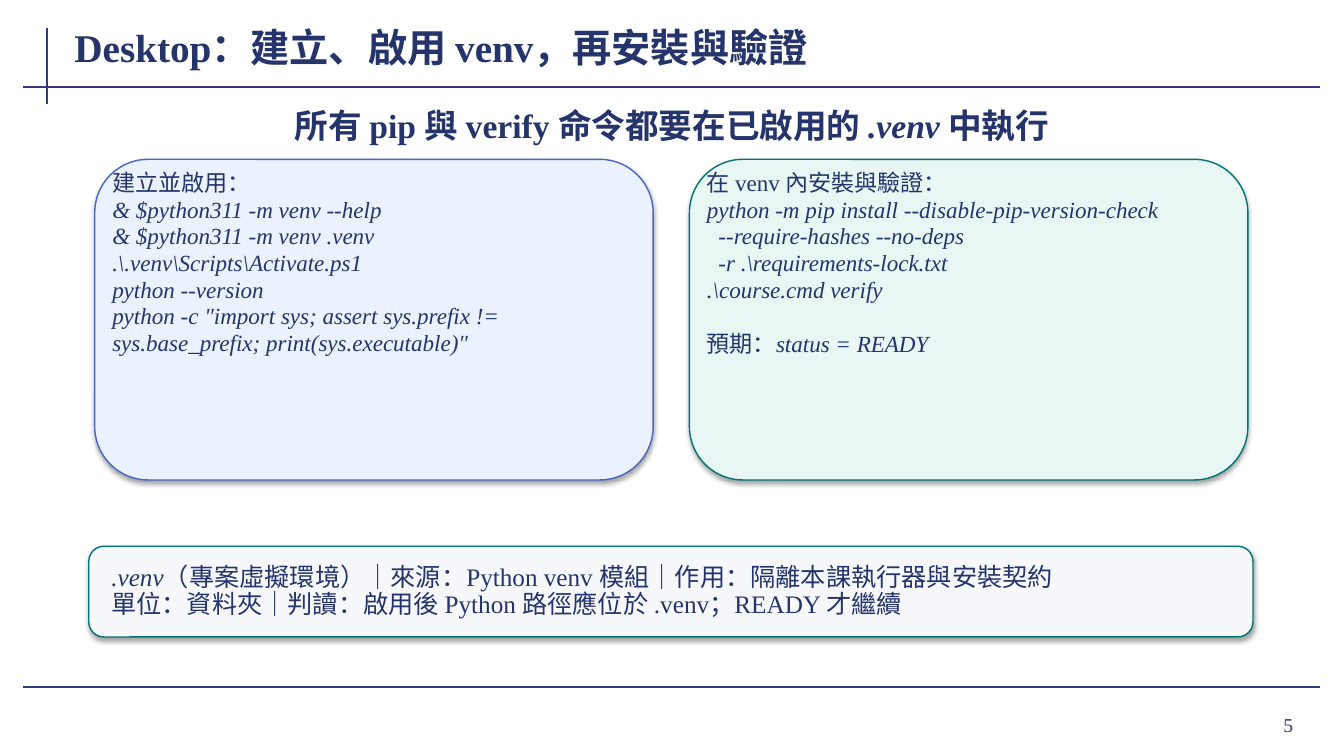
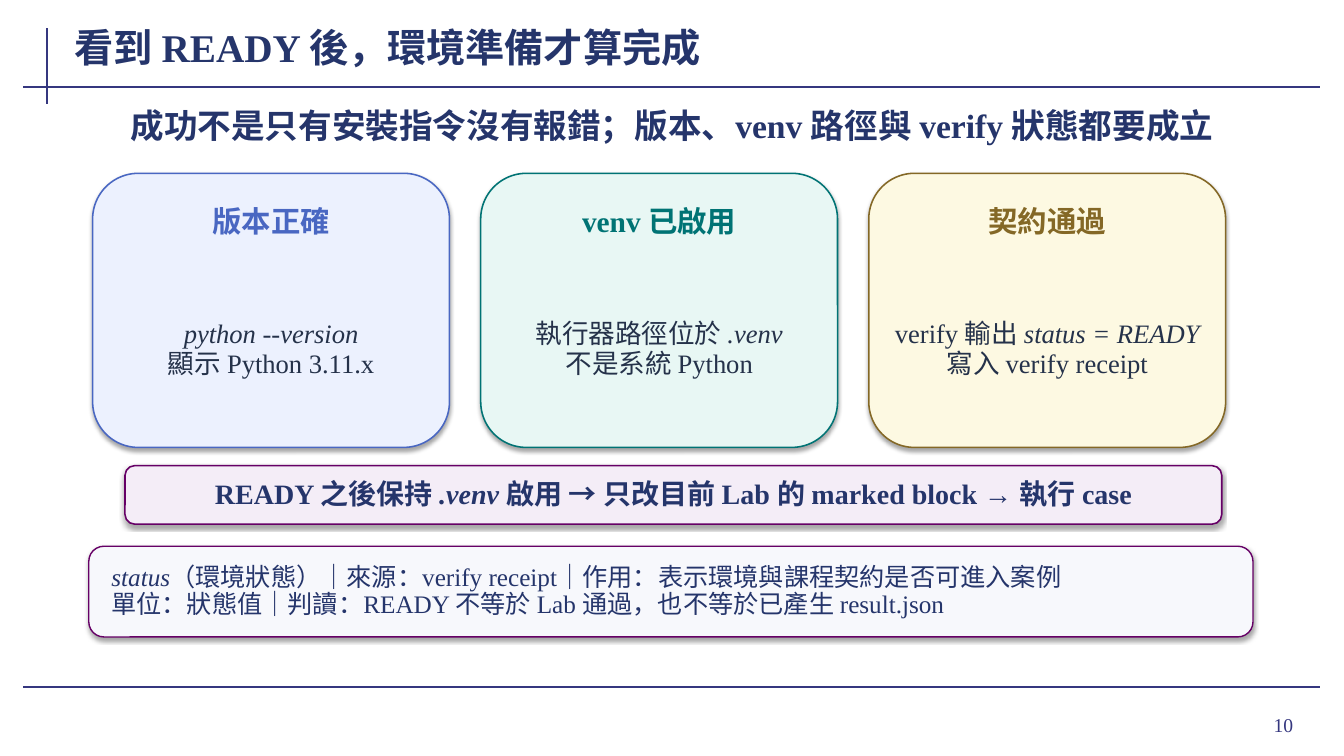
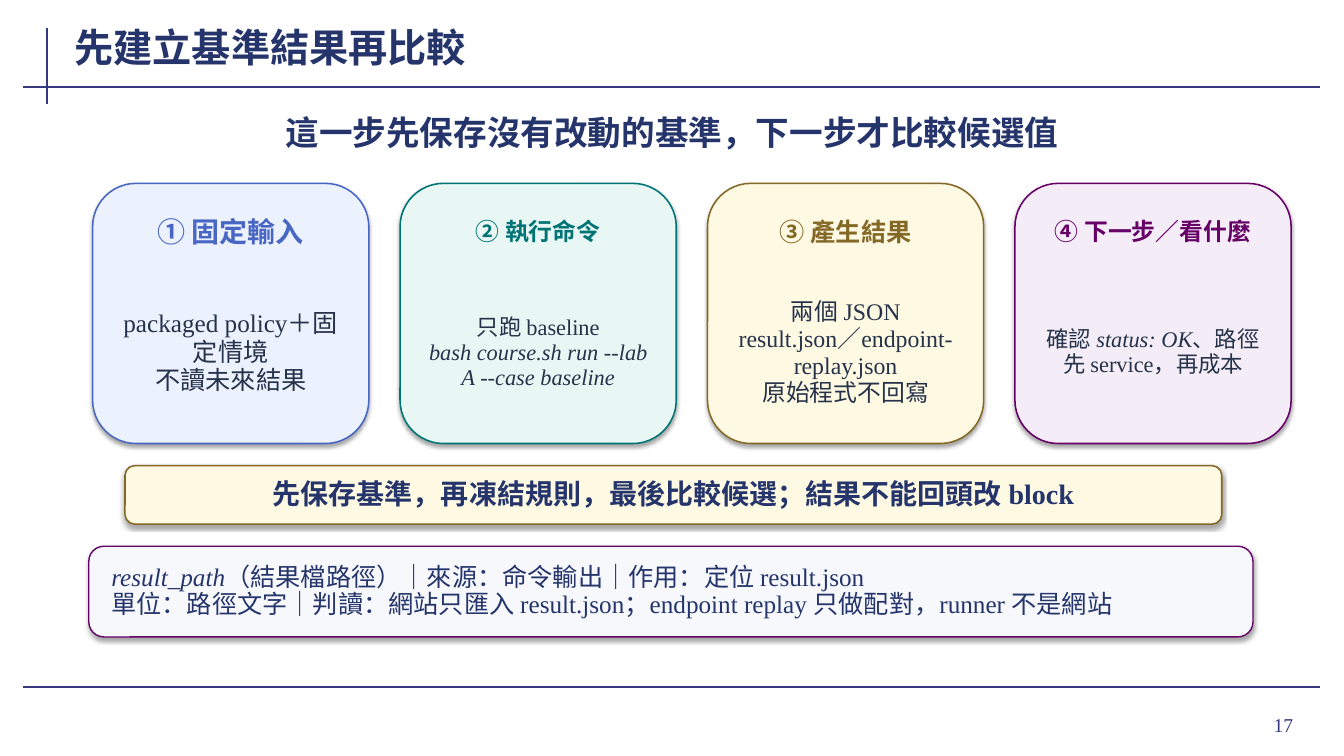
import pptx
import pptx.util
import pptx.dml.color
import pptx.enum.shapes
import pptx.enum.text
import pptx.oxml
import pptx.oxml.ns

Pt = pptx.util.Pt
ALIGN = pptx.enum.text.PP_ALIGN
ANCHOR = pptx.enum.text.MSO_ANCHOR

FONT = "Times New Roman"
COLORS = {
    "rule": "35377F", "navy": "25356B", "body": "25324A", "term": "F7F8FC",
    "blue": "4967C2", "blue_fill": "ECF1FE",
    "teal": "007374", "teal_fill": "E8F7F4",
    "gold": "846826", "gold_fill": "FDF9E2",
    "purple": "660066", "purple_fill": "F4EDF7",
}

RULES = [(33.8, 20.2, 33.8, 74.2), (16.6, 61.9, 943.2, 61.9), (16.6, 491, 943.2, 491)]
TITLE_BOX = (51.8, 14.4, 745.2, 38.2)
NUMBER_BOX = (861.1, 499, 69.8, 37.4)
BAR_BOX = (89.3, 332.6, 783.4, 41.8)
TERM_BOX = (63.4, 390.2, 831.6, 64.8)
CARD_LEFT, CARD_GAP = 66.2, 22.3
PANEL_LEFT, PANEL_TOP, PANEL_W, PANEL_H, PANEL_GAP = 67.7, 113.8, 398.9, 229, 25.9

SLIDES = [
    {
        "number": "5",
        "title": "Desktop：建立、啟用 venv，再安裝與驗證",
        "subtitle": "所有 pip 與 verify 命令都要在已啟用的 `.venv` 中執行",
        "subtitle_top": 70.6,
        "panels": [
            ("blue", [
                "建立並啟用：",
                "`& $python311 -m venv --help`",
                "`& $python311 -m venv .venv`",
                r"`.\.venv\Scripts\Activate.ps1`",
                "`python --version`",
                '`python -c "import sys; assert sys.prefix != sys.base_prefix; print(sys.executable)"`',
            ], 0),
            ("teal", [
                "在 venv 內安裝與驗證：",
                "`python -m pip install --disable-pip-version-check`",
                "`  --require-hashes --no-deps`",
                r"`  -r .\requirements-lock.txt`",
                r"`.\course.cmd verify`",
                "預期：`status = READY`",
            ], 20),
        ],
        "term": ("teal", [
            "`.venv`（專案虛擬環境）｜來源：Python venv 模組｜作用：隔離本課執行器與安裝契約",
            "單位：資料夾｜判讀：啟用後 Python 路徑應位於 .venv；READY 才繼續",
        ]),
    },
    {
        "number": "10",
        "title": "看到 READY 後，環境準備才算完成",
        "subtitle": "成功不是只有安裝指令沒有報錯；版本、venv 路徑與 verify 狀態都要成立",
        "subtitle_top": 70.6,
        "card_size": (123.8, 254.9, 195.8),
        "cards": [
            ("blue", "版本正確", 21, ["`python --version`", "顯示 Python 3.11.x"], 19),
            ("teal", "venv 已啟用", 21, ["執行器路徑位於 `.venv`", "不是系統 Python"], 19),
            ("gold", "契約通過", 21, ["verify 輸出 `status = READY`", "寫入 verify receipt"], 19),
        ],
        "bar": ("purple", "READY 之後保持 `.venv` 啟用 → 只改目前 Lab 的 marked block → 執行 case"),
        "term": ("purple", [
            "`status`（環境狀態）｜來源：verify receipt｜作用：表示環境與課程契約是否可進入案例",
            "單位：狀態值｜判讀：READY 不等於 Lab 通過，也不等於已產生 result.json",
        ]),
    },
    {
        "number": "17",
        "title": "先建立基準結果再比較",
        "subtitle": "這一步先保存沒有改動的基準，下一步才比較候選值",
        "subtitle_top": 75.6,
        "card_size": (131, 197.3, 185.8),
        "cards": [
            ("blue", "① 固定輸入", 20, ["packaged policy＋固定情境", "不讀未來結果"], 18),
            ("teal", "② 執行命令", 17,
             ["只跑 baseline", "`bash course.sh run --lab A --case baseline`"], 16),
            ("gold", "③ 產生結果", 18,
             ["兩個 JSON", "result.json／endpoint-replay.json", "原始程式不回寫"], 17),
            ("purple", "④ 下一步／看什麼", 17,
             ["確認 `status: OK`、路徑", "先 service，再成本"], 16),
        ],
        "bar": ("gold", "先保存基準，再凍結規則，最後比較候選；結果不能回頭改 block"),
        "term": ("purple", [
            "`result_path`（結果檔路徑）｜來源：命令輸出｜作用：定位 result.json",
            "單位：路徑文字｜判讀：網站只匯入 result.json；endpoint replay 只做配對，runner 不是網站",
        ]),
    },
]


def rgb(name):
    return pptx.dml.color.RGBColor.from_string(COLORS[name])


def set_effects(sp, inner=""):
    xml = f'<a:effectLst {pptx.oxml.ns.nsdecls("a")}>{inner}</a:effectLst>'
    sp._element.spPr.append(pptx.oxml.parse_xml(xml))


def write(tf, lines, size, color="navy", bold=False, align=ALIGN.CENTER,
          spacing=1, margins=(1, 0.7), anchor=ANCHOR.MIDDLE, last_gap=0):
    tf.word_wrap = True
    tf.auto_size = pptx.enum.text.MSO_AUTO_SIZE.NONE
    tf.vertical_anchor = anchor
    tf.margin_left = tf.margin_right = Pt(margins[0])
    tf.margin_top = tf.margin_bottom = Pt(margins[1])
    for i, line in enumerate(lines):
        p = tf.add_paragraph() if i else tf.paragraphs[0]
        p.alignment = align
        p.line_spacing = spacing
        for j, part in enumerate(line.split("`")):
            if part:
                r = p.add_run()
                r.text = part
                r.font.name = FONT
                r.font.size = Pt(size)
                r.font.bold = bold
                r.font.italic = j % 2 == 1
                r.font.color.rgb = rgb(color)
    if last_gap:
        p.space_before = Pt(last_gap)


def add_text(slide, box, lines, size, **style):
    sp = slide.shapes.add_textbox(*map(Pt, box))
    write(sp.text_frame, lines, size, **style)


def add_box(slide, box, fill, line, width):
    kind = pptx.enum.shapes.MSO_SHAPE.ROUNDED_RECTANGLE
    sp = slide.shapes.add_shape(kind, *map(Pt, box))
    sp.fill.solid()
    sp.fill.fore_color.rgb = rgb(fill)
    sp.line.color.rgb = rgb(line)
    sp.line.width = Pt(width)
    set_effects(sp, '<a:outerShdw blurRad="39370" dist="22860" dir="5400000" rotWithShape="0">'
                    '<a:srgbClr val="000000"><a:alpha val="35000"/></a:srgbClr></a:outerShdw>')
    return sp


def add_panels(slide, panels):
    for i, (accent, lines, last_gap) in enumerate(panels):
        x = PANEL_LEFT + i * (PANEL_W + PANEL_GAP)
        add_box(slide, (x, PANEL_TOP, PANEL_W, PANEL_H), accent + "_fill", accent, 1)
        add_text(slide, (x + 11.5, PANEL_TOP + 7.2, PANEL_W - 23, PANEL_H - 14.4), lines, 16.5,
                 align=ALIGN.LEFT, spacing=0.96, anchor=ANCHOR.TOP, last_gap=last_gap)


def add_cards(slide, cards, top, w, h):
    for i, (accent, head, head_size, lines, size) in enumerate(cards):
        x = CARD_LEFT + i * (w + CARD_GAP)
        add_box(slide, (x, top, w, h), accent + "_fill", accent, 1.1)
        add_text(slide, (x + 11.5, top + 14.4, w - 23, 41.8), [head], head_size,
                 color=accent, bold=True, spacing=0.92, margins=(2.2, 0.7))
        add_text(slide, (x + 13, top + 70.6, w - 26, h - 85), lines, size,
                 color="body", spacing=0.94, margins=(3.6, 0.7))


def place(sp, box):
    sp.left, sp.top, sp.width, sp.height = map(Pt, box)


def build_layout(layout, slide):
    for ph in list(layout.placeholders):
        if ph.placeholder_format.idx == 0:
            place(ph, TITLE_BOX)
        else:
            ph.element.getparent().remove(ph.element)
    straight = pptx.enum.shapes.MSO_CONNECTOR.STRAIGHT
    for ends in RULES:
        line = slide.shapes.add_connector(straight, *map(Pt, ends))
        line.line.color.rgb = rgb("rule")
        line.line.width = Pt(1.5)
        set_effects(line)
        layout.element.cSld.spTree.append(line._element)


def main():
    prs = pptx.Presentation()
    prs.slide_width, prs.slide_height = Pt(960), Pt(540)
    layout = prs.slide_layouts[5]
    for i, data in enumerate(SLIDES):
        slide = prs.slides.add_slide(layout)
        if i == 0:
            build_layout(layout, slide)
        write(slide.shapes.title.text_frame, [data["title"]], 28, bold=True,
              align=ALIGN.LEFT, margins=(1.4, 0))
        add_text(slide, NUMBER_BOX, [data["number"]], 14, color="rule",
                 align=ALIGN.RIGHT, margins=(7.2, 3.6))
        add_text(slide, (67.7, data["subtitle_top"], 824.4, 37.4), [data["subtitle"]], 24,
                 bold=True)
        if "panels" in data:
            add_panels(slide, data["panels"])
        if "cards" in data:
            add_cards(slide, data["cards"], *data["card_size"])
        if "bar" in data:
            accent, text = data["bar"]
            sp = add_box(slide, BAR_BOX, accent + "_fill", accent, 1.1)
            write(sp.text_frame, [text], 20, bold=True, spacing=0.95, margins=(8.6, 2.9))
        accent, lines = data["term"]
        sp = add_box(slide, TERM_BOX, "term", accent, 1)
        write(sp.text_frame, lines, 18, align=ALIGN.LEFT, spacing=0.9, margins=(13, 2.2))
    prs.save("out.pptx")


if __name__ == "__main__":
    main()
